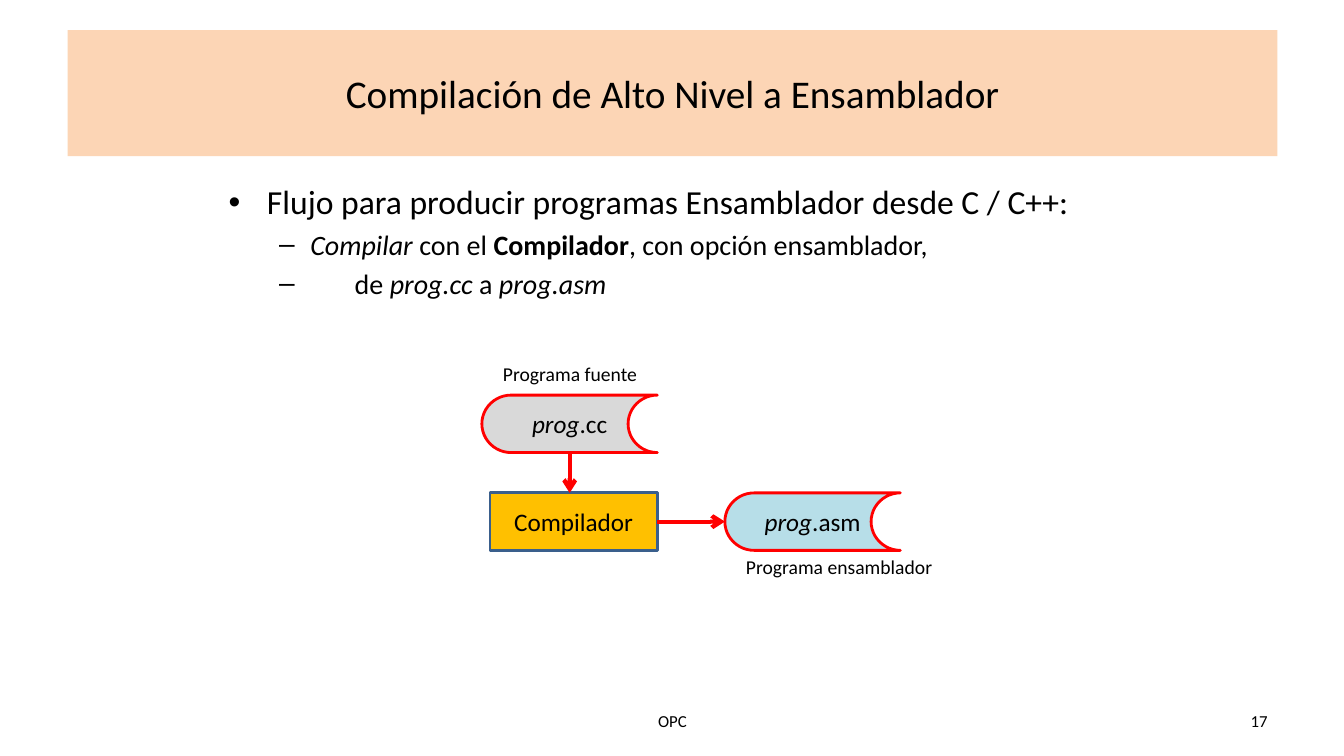
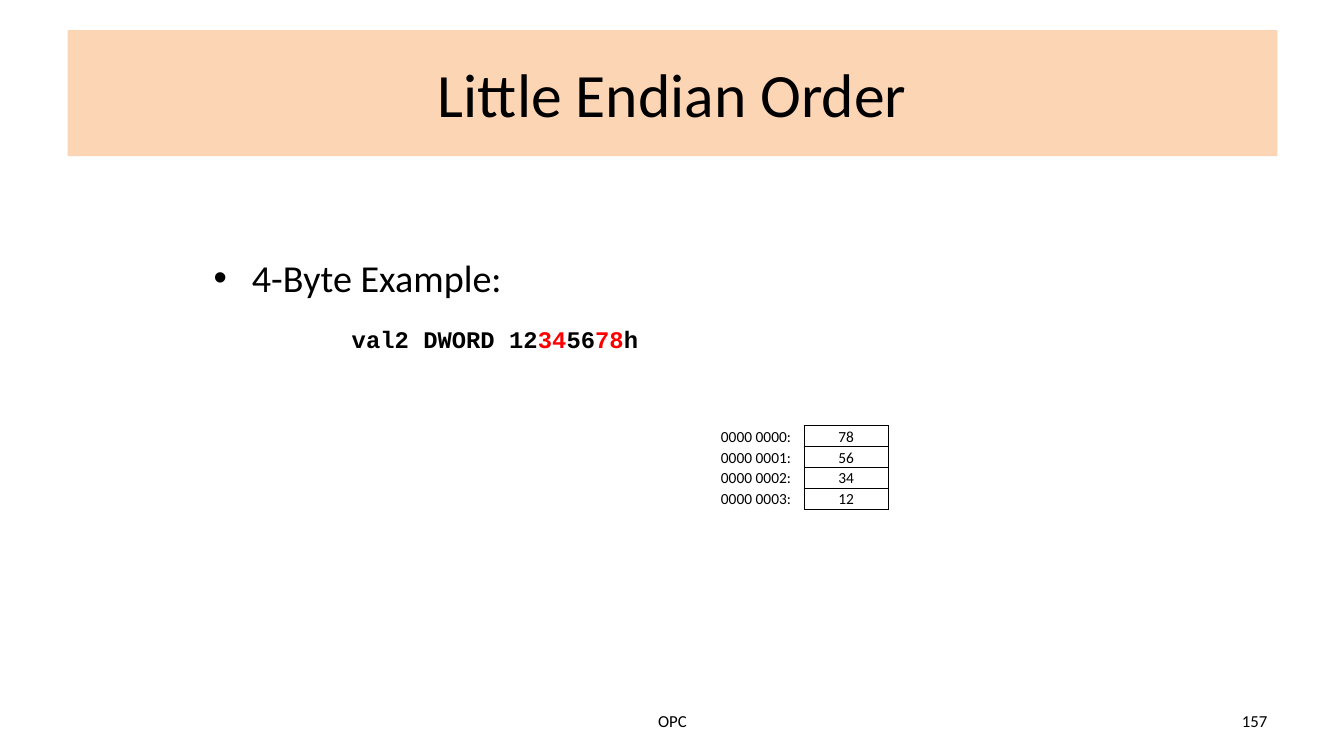
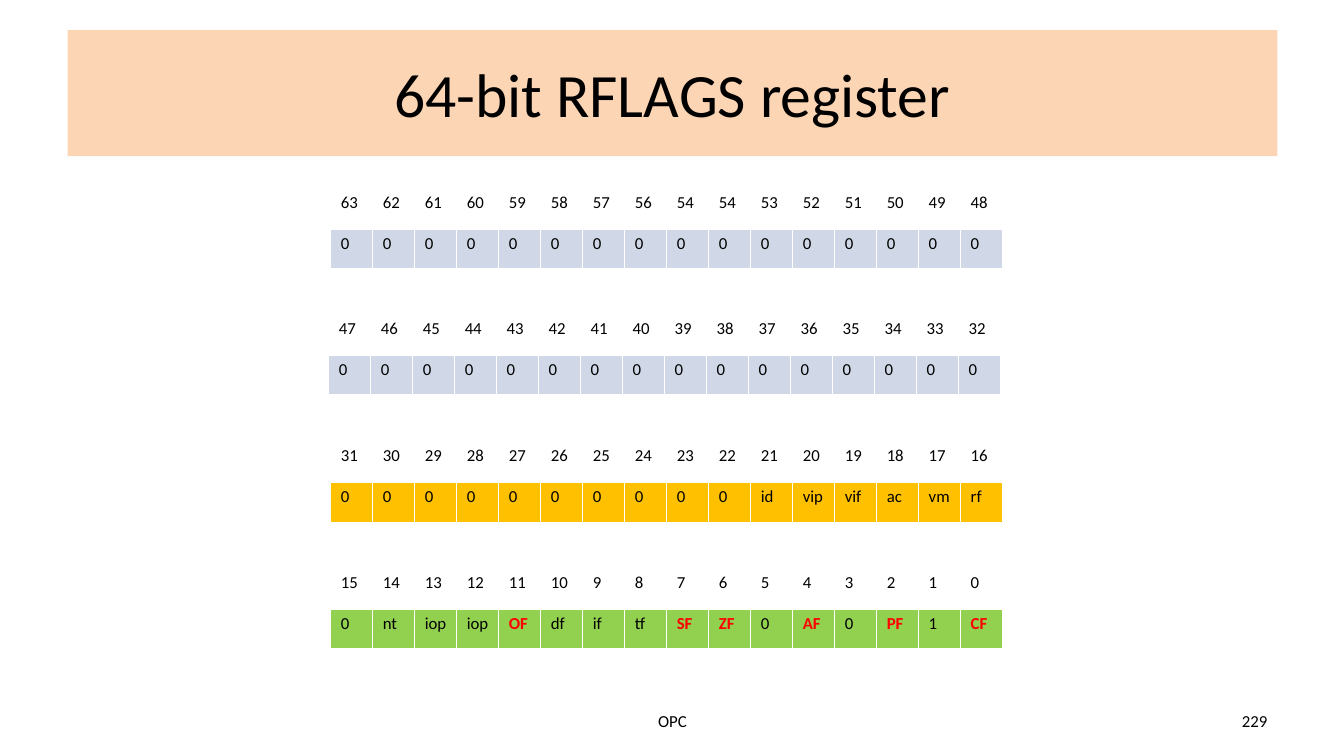
from lxml import etree
from pptx import Presentation
from pptx import util as u
from pptx.dml.color import RGBColor
from pptx.enum import shapes, text
from pptx.oxml import ns

PX = u.Inches(1) // 100
FONT, CODE_FONT = "Calibri", "Courier New"
COLORS = {
    "black": "000000",
    "white": "FFFFFF",
    "red": "FF0000",
    "band": "FCD5B5",
    "grey": "D9D9D9",
    "amber": "FFC000",
    "aqua": "B7DEE8",
    "navy": "3A5F8C",
    "pale": "D0D8E8",
    "green": "92D050",
}
RGB = {name: RGBColor.from_string(value) for name, value in COLORS.items()}
LEFT, CENTER, RIGHT = text.PP_ALIGN.LEFT, text.PP_ALIGN.CENTER, text.PP_ALIGN.RIGHT
MIDDLE = text.MSO_ANCHOR.MIDDLE


def add_runs(paragraph, runs, size, align=LEFT, font=FONT):
    """Add (words, style) runs; style holds b for bold, i for italic, r for red."""
    paragraph.alignment = align
    for words, style in runs:
        run = paragraph.add_run()
        run.text = words
        run.font.name, run.font.size = font, u.Pt(size)
        run.font.bold, run.font.italic = "b" in style, "i" in style
        run.font.color.rgb = RGB["red" if "r" in style else "black"]


def add_borders(cell, color, **widths):
    """Draw borders in points, keyed L, R, T, B in that order; call before filling."""
    for side, width in widths.items():
        line = etree.SubElement(cell._tc.get_or_add_tcPr(), ns.qn(f"a:ln{side}"), w=str(u.Pt(width)))
        fill = etree.SubElement(line, ns.qn("a:solidFill"))
        etree.SubElement(fill, ns.qn("a:srgbClr"), val=COLORS[color])


prs = Presentation()
prs.slide_width, prs.slide_height = 1333 * PX, 750 * PX

# Title band and footer
slides = []
for title, title_size, number in [
    ("Compilación de Alto Nivel a Ensamblador", 28, "17"),
    ("Little Endian Order", 44, "157"),
    ("64-bit RFLAGS register", 44, "229"),
]:
    slide = prs.slides.add_slide(prs.slide_layouts[6])
    slides.append(slide)
    band = slide.shapes.add_shape(shapes.MSO_SHAPE.RECTANGLE, 67 * PX, 30 * PX, 1200 * PX, 125 * PX)
    band.shadow.inherit = False
    band.fill.solid()
    band.fill.fore_color.rgb = RGB["band"]
    band.line.fill.background()
    band.text_frame.vertical_anchor = MIDDLE
    add_runs(band.text_frame.paragraphs[0], [(title, "")], title_size, CENTER)
    for words, left, width, align in [("OPC", 456, 422, CENTER), (number, 956, 311, RIGHT)]:
        footer = slide.shapes.add_textbox(left * PX, 695 * PX, width * PX, 40 * PX).text_frame
        footer.word_wrap = True
        footer.vertical_anchor = MIDDLE
        add_runs(footer.paragraphs[0], [(words, "")], 12, align)

flow_slide, endian_slide, flags_slide = slides

# Body text: bullet, margin, indent, space before, size, font, runs
flow_points = [
    ("•", 38, -38, 0, 24, FONT, [("Flujo para producir programas Ensamblador desde C / C++:", "")]),
    ("–", 81, -31, 4, 20, FONT, [
        ("Compilar", "i"), (" con el ", ""), ("Compilador", "b"), (", con opción ensamblador,", "")]),
    ("–", 125, -75, 4, 20, FONT, [("de ", ""), ("prog.cc", "i"), (" a ", ""), ("prog.asm", "i")]),
]
endian_points = [
    ("•", 38, -38, 0, 27.2, FONT, [("4-Byte Example:", "")]),
    (None, 137, 0, 17.5, 17, CODE_FONT, [
        ("val2 DWORD 12", "b"), ("34", "br"), ("56", "b"), ("78", "br"), ("h", "b")]),
]
for slide, (left, top, width, height), points in [
    (flow_slide, (217, 175, 900, 150), flow_points),
    (endian_slide, (202, 248, 892, 96), endian_points),
]:
    body = slide.shapes.add_textbox(left * PX, top * PX, width * PX, height * PX).text_frame
    body.word_wrap = True
    for index, (bullet, margin, indent, before, size, font, runs) in enumerate(points):
        paragraph = body.add_paragraph() if index else body.paragraphs[0]
        paragraph.space_before = u.Pt(before)
        props = paragraph._p.get_or_add_pPr()
        props.set("marL", str(margin * PX))
        props.set("indent", str(indent * PX))
        if bullet:
            etree.SubElement(props, ns.qn("a:buFont"), typeface="Arial")
            etree.SubElement(props, ns.qn("a:buChar"), char=bullet)
        add_runs(paragraph, runs, size, font=font)

# Compilation flow
STORAGE = shapes.MSO_SHAPE.FLOWCHART_STORED_DATA
PROCESS = shapes.MSO_SHAPE.FLOWCHART_PROCESS
steps = []
for kind, left, top, width, fill, outline, runs in [
    (STORAGE, 478, 392, 174, "grey", "red", [("prog", "i"), (".cc", "")]),
    (PROCESS, 486, 489, 166, "amber", "navy", [("Compilador", "")]),
    (STORAGE, 719, 489, 174, "aqua", "red", [("prog", "i"), (".asm", "")]),
]:
    step = flow_slide.shapes.add_shape(kind, left * PX, top * PX, width * PX, 57 * PX)
    step.shadow.inherit = False
    step.fill.solid()
    step.fill.fore_color.rgb = RGB[fill]
    step.line.color.rgb = RGB[outline]
    step.line.width = u.Pt(2)
    step.text_frame.vertical_anchor = MIDDLE
    add_runs(step.text_frame.paragraphs[0], runs, 18, CENTER)
    steps.append(step)

source, compiler, assembly = steps
source_arrow = flow_slide.shapes.add_connector(
    shapes.MSO_CONNECTOR.STRAIGHT, 565 * PX, 449 * PX, 565 * PX, 489 * PX)
source_arrow.begin_connect(source, 2)
assembly_arrow = flow_slide.shapes.add_connector(
    shapes.MSO_CONNECTOR.STRAIGHT, 652 * PX, 518 * PX, 719 * PX, 518 * PX)
assembly_arrow.begin_connect(compiler, 3)
assembly_arrow.end_connect(assembly, 1)
for arrow in (source_arrow, assembly_arrow):
    arrow.line.color.rgb = RGB["red"]
    arrow.line.width = u.Pt(3)
    etree.SubElement(arrow.line._get_or_add_ln(), ns.qn("a:tailEnd"), type="arrow")
    etree.SubElement(arrow._element.spPr, ns.qn("a:effectLst"))

for words, left, top, width in [
    ("Programa fuente", 489, 354, 165),
    ("Programa ensamblador", 730, 546, 210),
]:
    label = flow_slide.shapes.add_textbox(left * PX, top * PX, width * PX, 34 * PX).text_frame
    label.word_wrap = True
    add_runs(label.paragraphs[0], [(words, "")], 14)

# Memory bytes
memory_bytes = ["78", "56", "34", "12"]
memory = endian_slide.shapes.add_table(4, 2, 714 * PX, 422 * PX, 167 * PX, 83 * PX).table
memory.first_row = memory.horz_banding = False
for address, value in enumerate(memory_bytes):
    address_cell, value_cell = memory.cell(address, 0), memory.cell(address, 1)
    add_borders(address_cell, "black", R=0.5)
    add_borders(value_cell, "black", L=0.5, R=0.5, T=0.5, B=0.5)
    for cell, words, align in [
        (address_cell, f"0000 {address:04}:", LEFT),
        (value_cell, value, CENTER),
    ]:
        cell.fill.background()
        cell.margin_left = cell.margin_right = cell.margin_top = PX
        cell.margin_bottom = 0
        cell.vertical_anchor = text.MSO_ANCHOR.BOTTOM
        add_runs(cell.text_frame.paragraphs[0], [(words, "")], 11, align)

# Register bits, sixteen to a table
status_flags = {"OF", "SF", "ZF", "AF", "PF", "CF"}
for left, top, fill, bits, flags in [
    (328, 186, "pale", "63 62 61 60 59 58 57 56 54 54 53 52 51 50 49 48".split(), ["0"] * 16),
    (326, 311, "pale", range(47, 31, -1), ["0"] * 16),
    (328, 437, "amber", range(31, 15, -1), ["0"] * 10 + "id vip vif ac vm rf".split()),
    (328, 563, "green", range(15, -1, -1), "0 nt iop iop OF df if tf SF ZF 0 AF 0 PF 1 CF".split()),
]:
    register = flags_slide.shapes.add_table(2, 16, left * PX, top * PX, 667 * PX, 81 * PX).table
    register.first_row = register.horz_banding = False
    for column, (bit, flag) in enumerate(zip(bits, flags)):
        for row, words, color, bottom in [(0, str(bit), "white", 3), (1, flag, fill, 1)]:
            cell = register.cell(row, column)
            add_borders(cell, "white", L=1, R=1, T=1, B=bottom)
            cell.fill.solid()
            cell.fill.fore_color.rgb = RGB[color]
            style = "br" if words in status_flags else ""
            add_runs(cell.text_frame.paragraphs[0], [(words, style)], 12)

prs.save("out.pptx")
